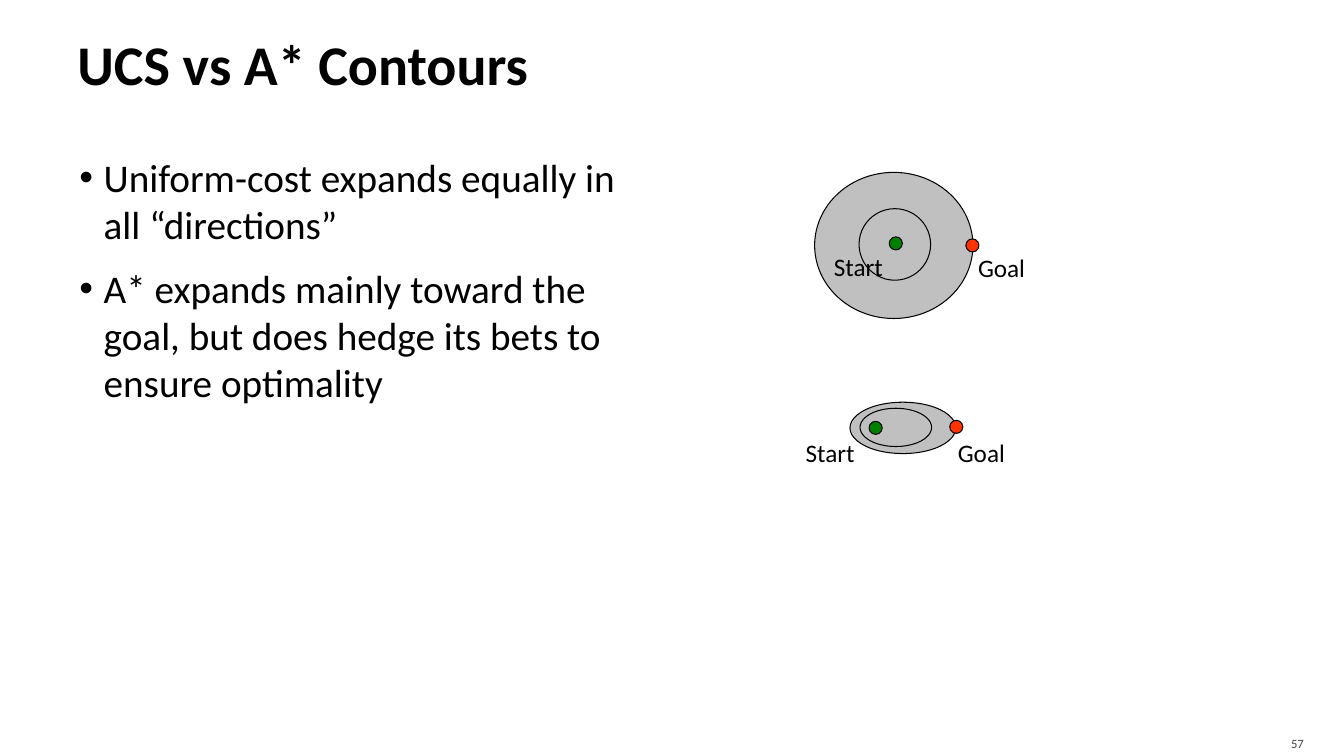
from lxml import etree
from pptx import Presentation
from pptx.dml.color import RGBColor
from pptx.enum.shapes import MSO_SHAPE as Shape
from pptx.enum.text import MSO_ANCHOR as Anchor, PP_ALIGN as Align
from pptx.oxml.ns import qn
from pptx.util import Emu, Pt

PX = 9144  # 100 px to the inch
FONT = "Calibri"
BLACK = RGBColor(0x00, 0x00, 0x00)
GRAY = RGBColor(0xC0, 0xC0, 0xC0)
DARK_GRAY = RGBColor(0x45, 0x45, 0x45)
GREEN = RGBColor(0x00, 0x80, 0x00)
RED = RGBColor(0xFF, 0x33, 0x00)

DOT = 13
LABEL_SIZE = (75, 38)
BULLETS = [
    "Uniform-cost expands equally in all “directions”",
    "A* expands mainly toward the goal, but does hedge its bets to ensure optimality",
]


def px(value):
    return Emu(value * PX)


def add_text(slide, box, lines, size, insets, color=BLACK, bold=False,
             align=Align.LEFT, anchor=Anchor.TOP):
    """Add a wrapped text box; insets run left, top, right, bottom."""
    frame = slide.shapes.add_textbox(*map(px, box)).text_frame
    frame.word_wrap = True
    frame.vertical_anchor = anchor
    (frame.margin_left, frame.margin_top,
     frame.margin_right, frame.margin_bottom) = map(px, insets)
    frame.text = "\n".join(lines)
    for paragraph in frame.paragraphs:
        paragraph.alignment = align
        font = paragraph.runs[0].font
        font.name, font.size, font.bold = FONT, Pt(size), bold
        font.color.rgb = color
    return frame


def add_bullets(frame):
    for paragraph in frame.paragraphs:
        paragraph.space_before = paragraph.space_after = Pt(6)
        properties = paragraph._p.get_or_add_pPr()
        properties.set("marL", str(px(26)))
        properties.set("indent", str(px(-24)))
        etree.SubElement(properties, qn("a:buFont"), typeface="Arial")
        etree.SubElement(properties, qn("a:buChar"), char="•")


def add_ellipse(slide, box, fill=None):
    ellipse = slide.shapes.add_shape(Shape.OVAL, *map(px, box))
    ellipse.shadow.inherit = False
    ellipse.line.color.rgb = BLACK
    ellipse.line.width = Pt(0.75)
    if fill is None:
        ellipse.fill.background()
    else:
        ellipse.fill.solid()
        ellipse.fill.fore_color.rgb = fill


def add_marker(slide, name, color, dot_at, label_at):
    add_ellipse(slide, (*dot_at, DOT, DOT), color)
    add_text(slide, (*label_at, *LABEL_SIZE), [name], 18, (7, 4, 7, 4))


def add_contours(slide, outer, inner, start, goal):
    """Draw two nested contours; start and goal hold dot and label places."""
    add_ellipse(slide, outer, GRAY)
    add_ellipse(slide, inner)
    add_marker(slide, "Start", GREEN, *start)
    add_marker(slide, "Goal", RED, *goal)


def main():
    presentation = Presentation()
    presentation.slide_width, presentation.slide_height = px(1333), px(750)
    slide = presentation.slides.add_slide(presentation.slide_layouts[6])

    # Title and points
    add_text(slide, (67, 17, 1200, 92), ["UCS vs A* Contours"], 40,
             (10, 5, 5, 5), bold=True, anchor=Anchor.MIDDLE)
    add_bullets(add_text(slide, (67, 142, 589, 602), BULLETS, 28, (10, 10, 10, 5)))

    # Uniform-cost search: round contours
    add_contours(slide, (808, 171, 157, 145), (852, 207, 71, 71),
                 start=((882, 235), (820, 245)), goal=((958, 237), (963, 246)))

    # A* search: contours stretched toward the goal
    add_contours(slide, (843, 399, 105, 51), (853, 405, 71, 38),
                 start=((862, 418), (792, 430)), goal=((942, 417), (943, 430)))

    # Slide number
    add_text(slide, (1196, 720, 107, 30), ["57"], 9, (10, 5, 10, 0),
             DARK_GRAY, align=Align.RIGHT, anchor=Anchor.MIDDLE)

    presentation.save("out.pptx")


if __name__ == "__main__":
    main()
